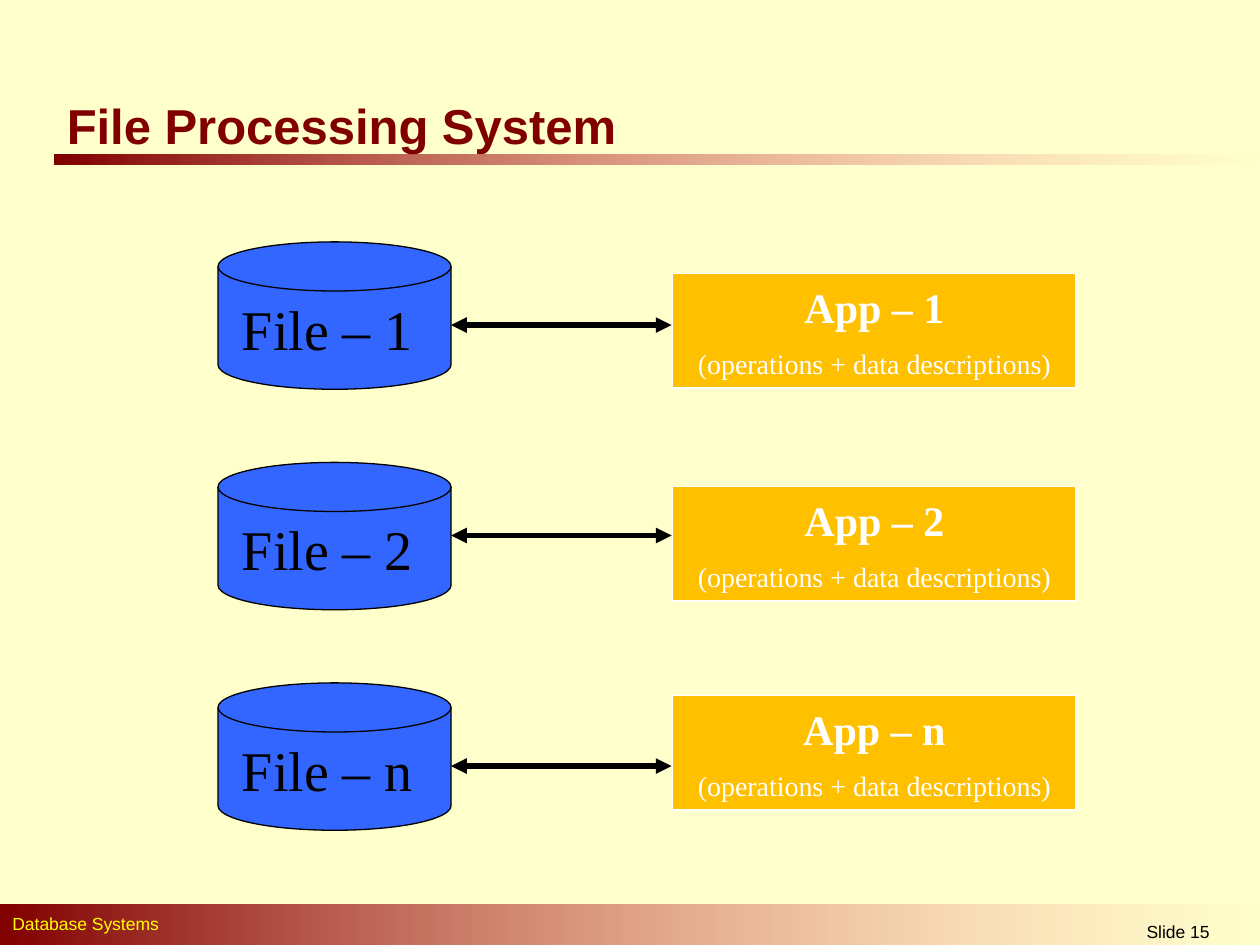
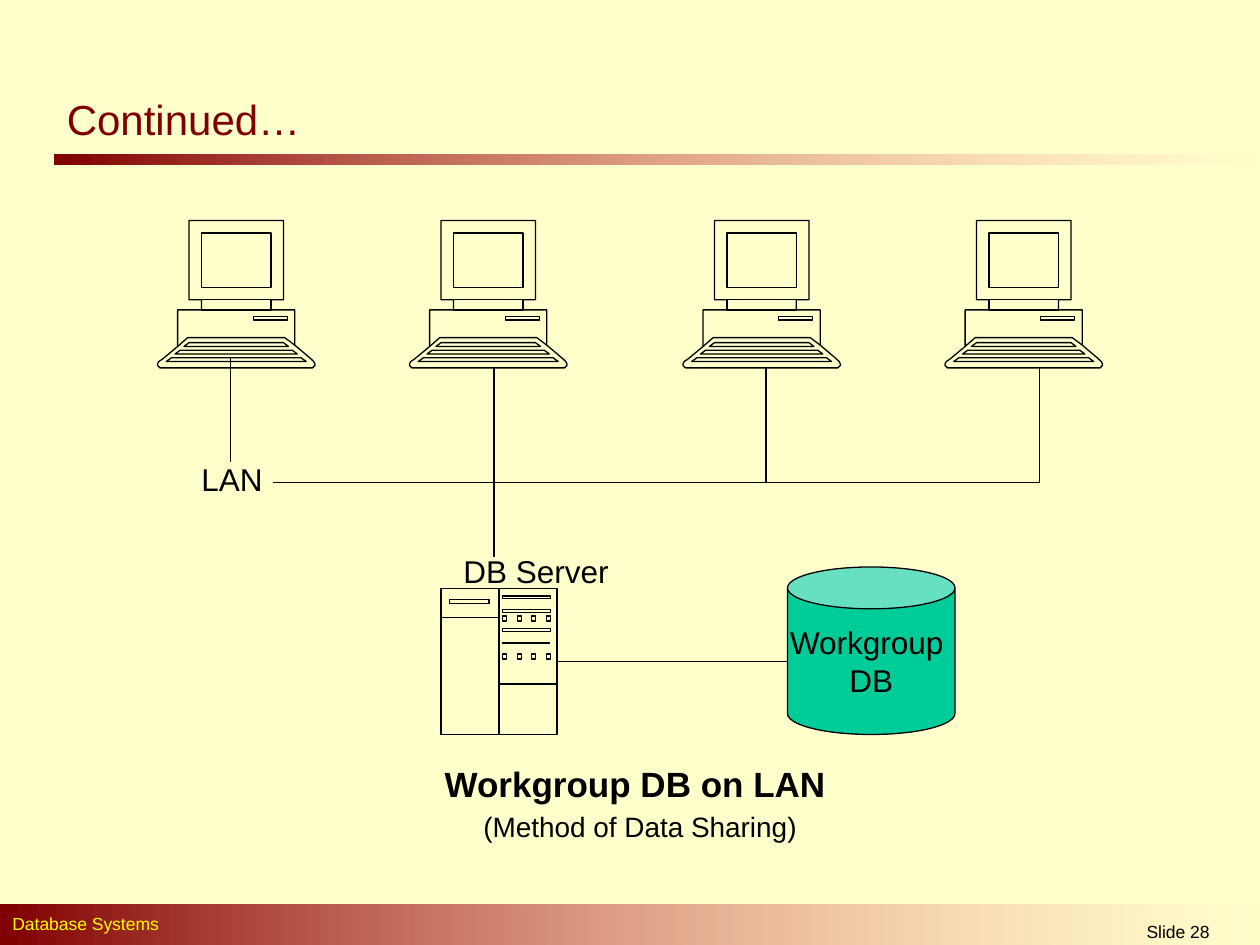
from lxml.etree import SubElement
from pptx import Presentation
from pptx.dml.color import RGBColor
from pptx.enum.shapes import MSO_CONNECTOR, MSO_SHAPE
from pptx.enum.text import MSO_ANCHOR, MSO_AUTO_SIZE, PP_ALIGN
from pptx.oxml.ns import qn
from pptx.util import Inches, Pt

CREAM = RGBColor(0xFF, 0xFF, 0xCC)
MAROON = RGBColor(0x80, 0x00, 0x00)
PINK = RGBColor(0xFF, 0x85, 0x85)
YELLOW = RGBColor(0xFF, 0xFF, 0x00)
BLACK = RGBColor(0x00, 0x00, 0x00)
WHITE = RGBColor(0xFF, 0xFF, 0xFF)
BLUE = RGBColor(0x33, 0x66, 0xFF)
AMBER = RGBColor(0xFF, 0xC0, 0x00)
GREEN = RGBColor(0x00, 0xCC, 0x99)
SANS, SERIF = "Arial", "Times New Roman"
UNIT = Inches(0.01)  # drawing unit of the freeform icons


def place(shape, left, top, width, height):
    shape.left, shape.top = Inches(left), Inches(top)
    shape.width, shape.height = Inches(width), Inches(height)


def write(shape, lines, color=BLACK, face=SANS, align=PP_ALIGN.CENTER,
          anchor=MSO_ANCHOR.TOP, wrap=True, gap=None):
    """Fill a shape with (text, size, bold) lines; gap is the points between them."""
    frame = shape.text_frame
    frame.auto_size = MSO_AUTO_SIZE.NONE
    frame.word_wrap = wrap
    frame.vertical_anchor = anchor
    for i, (text, size, bold) in enumerate(lines):
        par = frame.add_paragraph() if i else frame.paragraphs[0]
        par.text = text
        par.alignment = align
        if i and gap:
            par.space_before = Pt(gap)
        font = par.font
        font.name, font.size, font.bold = face, Pt(size), bold
        font.color.rgb = color


def label(slide, text, size, box, **style):
    shape = slide.shapes.add_textbox(*map(Inches, box))
    write(shape, [(text, size, False)], **style)


def paint(shape, fill, line=BLACK):
    shape.fill.solid()
    shape.fill.fore_color.rgb = fill
    shape.line.color.rgb = line
    shape.line.width = Pt(0.75)
    shape.shadow.inherit = False


def block(slide, kind, box, fill, lines, line=BLACK, **style):
    shape = slide.shapes.add_shape(kind, *map(Inches, box))
    paint(shape, fill, line)
    write(shape, lines, anchor=MSO_ANCHOR.MIDDLE, **style)


def band(slide, box):
    """Draw a bar that fades out to the right."""
    shape = slide.shapes.add_shape(MSO_SHAPE.RECTANGLE, *map(Inches, box))
    shape.fill.gradient()
    shape.fill.gradient_angle = 0
    start, end = shape.fill.gradient_stops
    start.color.rgb, start.position = MAROON, 0
    end.color.rgb, end.position = PINK, 1
    for tint in list(shape._element.spPr.iter(qn("a:srgbClr")))[1:]:
        SubElement(tint, qn("a:alpha"), val="0")
    shape.line.fill.background()
    shape.shadow.inherit = False


def wire(slide, x1, y1, x2, y2, width=0.75, arrows=False):
    line = slide.shapes.add_connector(
        MSO_CONNECTOR.STRAIGHT, *map(Inches, (x1, y1, x2, y2)))
    line.line.color.rgb = BLACK
    line.line.width = Pt(width)
    if arrows:
        for end in ("a:headEnd", "a:tailEnd"):
            SubElement(line.line._get_or_add_ln(), qn(end), type="triangle")
    SubElement(line._element.spPr, qn("a:effectLst"))


def rect(x1, y1, x2, y2):
    return [(x1, y1), (x2, y1), (x2, y2), (x1, y2), (x1, y1)]


def icon(slide, left, top, strokes):
    """Draw strokes, lists of points in UNITs, as one freeform."""
    first, *rest = strokes
    pen = slide.shapes.build_freeform(*first[0], scale=UNIT)
    pen.add_line_segments(first[1:], close=False)
    for stroke in rest:
        pen.move_to(*stroke[0])
        pen.add_line_segments(stroke[1:], close=False)
    paint(pen.convert_to_shape(Inches(left), Inches(top)), CREAM)


def desktop(slide, left, top):
    body = [(122, 110), (109, 99), (109, 71), (90, 71), (90, 63), (100, 63),
            (100, 0), (25, 0), (25, 63), (35, 63), (35, 71), (16, 71),
            (16, 100), (4, 110), (1, 112), (0, 114), (0, 115), (2, 117),
            (123, 117), (125, 115), (125, 114), (124, 112), (122, 110)]
    edge = [(109, 99), (101, 93), (24, 93), (16, 100)]
    keys = []
    for i in range(3):
        x1, x2, y = 25 - 7 * i, 100 + 7 * i, 97 + 6 * i
        keys.append([(x2 + 4, y + 3), (x2, y), (x1, y), (x1 - 4, y + 3),
                     (x2 + 4, y + 3)])
    screen, stand = rect(35, 10, 90, 53), rect(35, 63, 90, 71)
    slot = rect(76, 76, 103, 79)
    icon(slide, left, top, [body, edge, *keys, screen, stand, slot])


def server(slide, left, top):
    case, badge = rect(0, 0, 92, 116), rect(7, 9, 38, 12)
    panel = [(0, 23), (46, 23), (46, 76), (92, 76)]
    spine = [(46, 0), (46, 116)]
    slots = [rect(49, y, 87, y + 2) for y in (6, 17, 32)]
    drive = rect(49, 43, 86, 44)
    lights = [rect(x, y, x + 3, y + 4) for y in (22, 52) for x in (49, 61, 72, 84)]
    icon(slide, left, top, [case, badge, panel, spine, *slots, drive, *lights])


def start(deck, layout, title, size, bold, box, number):
    """Add a slide with the shared bands, footer and title."""
    slide = deck.slides.add_slide(deck.slide_layouts[layout])
    band(slide, (0.43, 1.23, 9.57, 0.08))
    band(slide, (0, 7.18, 10.03, 0.35))
    label(slide, "Database Systems", 10, (0, 7.2, 6.42, 0.27),
          color=YELLOW, align=PP_ALIGN.LEFT)
    label(slide, f"Slide {number}", 10, (8.31, 7.26, 2.08, 0.24))
    head = slide.shapes.title
    place(head, *box)
    write(head, [(title, size, bold)], color=MAROON, align=PP_ALIGN.LEFT,
          anchor=MSO_ANCHOR.MIDDLE)
    return slide


def files(deck):
    slide = start(deck, 5, "File Processing System", 28, True,
                  (0.43, 0.68, 4.75, 0.63), 15)
    rows = [("1", 2.17, 2.58), ("2", 3.86, 4.25), ("n", 5.52, 6.08)]
    for i, (name, top, mid) in enumerate(rows):
        block(slide, MSO_SHAPE.FLOWCHART_MAGNETIC_DISK,
              (1.73, 1.92 + 1.75 * i, 1.85, 1.17), BLUE,
              [(f"File – {name} ", 32, False)], face=SERIF, wrap=False)
        block(slide, MSO_SHAPE.RECTANGLE, (5.34, top, 3.2, 0.91), AMBER,
              [(f"App – {name}", 24, True),
               ("(operations + data descriptions)", 16, False)],
              line=WHITE, color=WHITE, face=SERIF, gap=8)
        wire(slide, 3.58, mid, 5.33, mid, width=3, arrows=True)


def network(deck):
    slide = start(deck, 1, "Continued…", 24, False, (0.43, 0.68, 2.31, 0.53), 28)
    body = slide.placeholders[1]
    place(body, 0.58, 6, 9, 1.17)
    write(body, [("Workgroup DB on LAN ", 20, True),
                 ("(Method of Data Sharing)", 16, False)])
    for par in body.text_frame.paragraphs:
        SubElement(par._p.get_or_add_pPr(), qn("a:buNone"))
        # bullets come before the default run properties in the schema
        props = par._p.pPr
        font = props.find(qn("a:defRPr"))
        if font is not None:
            props.append(font)

    for left in (1.25, 3.25, 5.42, 7.5):
        desktop(slide, left, 1.75)
    server(slide, 3.5, 4.67)
    block(slide, MSO_SHAPE.CAN, (6.25, 4.5, 1.33, 1.33), GREEN,
          [("Workgroup ", 18, False), ("DB", 18, False)], wrap=False)

    drops = [(1.83, 2.83, 3.67), (3.92, 2.92, 4.42),
             (6.08, 2.92, 3.83), (8.25, 2.92, 3.83)]
    for x, top, end in drops:
        wire(slide, x, top, x, end)
    wire(slide, 2.17, 3.83, 8.25, 3.83)
    wire(slide, 4.42, 5.25, 6.25, 5.25)
    label(slide, "LAN", 18, (1.5, 3.6, 0.75, 0.4), align=PP_ALIGN.LEFT)
    label(slide, "DB Server", 18, (3.58, 4.33, 1.42, 0.4), align=PP_ALIGN.LEFT)


def main():
    deck = Presentation()
    deck.slide_width, deck.slide_height = Inches(10), Inches(7.5)
    back = deck.slide_master.background.fill
    back.solid()
    back.fore_color.rgb = CREAM
    files(deck)
    network(deck)
    deck.save("out.pptx")


if __name__ == "__main__":
    main()
